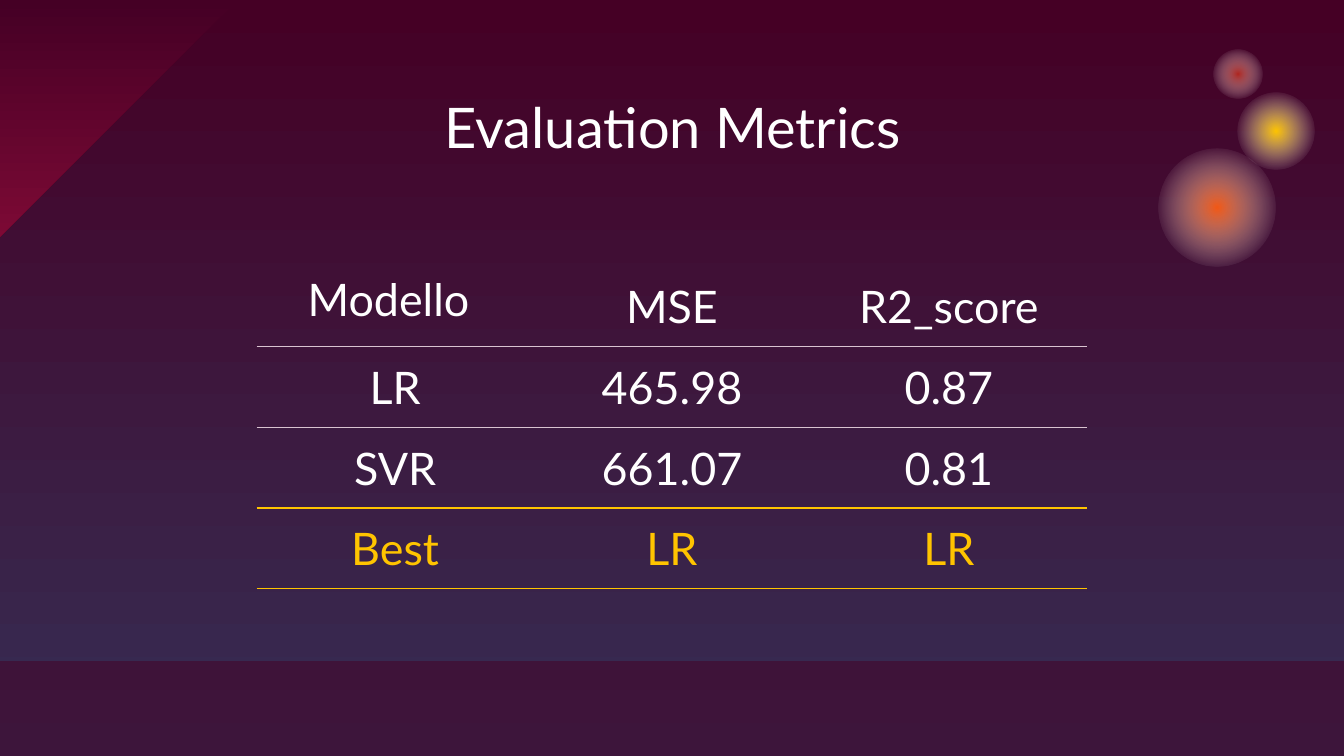
from typing import NamedTuple, Optional

from lxml import etree
from pptx import Presentation
from pptx import util as u
from pptx.dml.color import RGBColor
from pptx.enum import shapes, text
from pptx.oxml.ns import qn

COLORS = {
    "plum": "450025", "wine": "810A36", "red": "AF251F", "orange": "F25816",
    "indigo": "362D54", "yellow": "FFC400", "white": "FFFFFF", "rule": "D9C3D0",
}
FONT = "Lato"
WIDTH = 10
HEIGHT = WIDTH * 9 / 16  # widescreen


class Stop(NamedTuple):
    position: int
    color: str
    alpha: int = 100


class Glow(NamedTuple):
    left: float
    top: float
    size: float
    color: str


class Rule(NamedTuple):
    color: str
    weight: float


class Row(NamedTuple):
    cells: tuple[str, ...]
    color: str
    below: Rule


THIN = Rule("rule", 0.75)
ROWS = [
    Row(("Modello", "MSE", "R2_score"), "white", THIN),
    Row(("LR", "465.98", "0.87"), "white", THIN),
    Row(("SVR", "661.07", "0.81"), "white", Rule("yellow", 1.5)),
    Row(("Best", "LR", "LR"), "yellow", Rule("yellow", 0.75)),
]
GLOWS = [
    Glow(9.03, 0.37, 0.36, "red"),
    Glow(9.21, 0.69, 0.57, "yellow"),
    Glow(8.62, 1.11, 0.87, "orange"),
]


def add_color(parent, color: str, alpha: int = 100) -> None:
    clr = etree.SubElement(parent, qn("a:srgbClr"), val=COLORS[color])
    if alpha < 100:
        etree.SubElement(clr, qn("a:alpha"), val=str(alpha * 1000))


def set_gradient(fill, element, stops: list[Stop], radial: bool = False) -> None:
    fill.gradient()
    grad = next(element.iter(qn("a:gradFill")))
    for child in list(grad):
        grad.remove(child)
    stop_list = etree.SubElement(grad, qn("a:gsLst"))
    for stop in stops:
        gs = etree.SubElement(stop_list, qn("a:gs"), pos=str(stop.position * 1000))
        add_color(gs, stop.color, stop.alpha)
    if radial:
        path = etree.SubElement(grad, qn("a:path"), path="circle")
        etree.SubElement(path, qn("a:fillToRect"),
                         {side: "50000" for side in "ltrb"})
    else:
        etree.SubElement(grad, qn("a:lin"), ang="5400000", scaled="0")


def add_plain_shape(s, kind, left: float, top: float, width: float, height: float):
    sp = s.shapes.add_shape(kind, u.Inches(left), u.Inches(top),
                            u.Inches(width), u.Inches(height))
    sp.shadow.inherit = False
    sp.line.fill.background()
    return sp


def style_paragraph(p, size: int, color: str) -> None:
    p.alignment = text.PP_ALIGN.CENTER
    p.font.name, p.font.size = FONT, u.Pt(size)
    p.font.color.rgb = RGBColor.from_string(COLORS[color])


def set_insets(box, left: float, top: float, right: float, bottom: float) -> None:
    box.margin_left, box.margin_top = u.Inches(left), u.Inches(top)
    box.margin_right, box.margin_bottom = u.Inches(right), u.Inches(bottom)


def add_border(cell, side: str, rule: Optional[Rule]) -> None:
    tc_pr = cell._tc.get_or_add_tcPr()
    ln = etree.SubElement(tc_pr, qn(f"a:ln{side}"))
    if rule is None:
        etree.SubElement(ln, qn("a:noFill"))
    else:
        ln.set("w", str(u.Pt(rule.weight)))
        add_color(etree.SubElement(ln, qn("a:solidFill")), rule.color)


def add_backdrop(s) -> None:
    set_gradient(s.background.fill, s.element, [
        Stop(0, "plum"), Stop(34, "wine"), Stop(67, "red"), Stop(100, "orange")])

    # Panel with its top left corner cut off
    panel = add_plain_shape(s, shapes.MSO_SHAPE.SNIP_1_RECTANGLE, 0, 0, WIDTH, HEIGHT)
    panel.adjustments[0] = 0.315
    panel.element.spPr.find(qn("a:xfrm")).set("flipH", "1")
    set_gradient(panel.fill, panel.element, [Stop(0, "plum"), Stop(100, "indigo")])

    # Translucent footer band
    band = add_plain_shape(s, shapes.MSO_SHAPE.RECTANGLE, 0, 4.92, WIDTH, HEIGHT - 4.92)
    band.fill.solid()
    band.fill.fore_color.rgb = RGBColor.from_string(COLORS["plum"])
    clr = next(band.element.spPr.iter(qn("a:srgbClr")))
    etree.SubElement(clr, qn("a:alpha"), val="52000")


def add_title(s, wording: str) -> None:
    title = s.shapes.title
    s.shapes.element.append(title.element)  # in front of the backdrop
    title.left, title.top = u.Inches(0.79), u.Inches(0.59)
    title.width, title.height = u.Inches(8.43), u.Inches(0.52)
    tf = title.text_frame
    tf.text = wording
    tf.auto_size = text.MSO_AUTO_SIZE.NONE
    tf.vertical_anchor = text.MSO_ANCHOR.TOP
    set_insets(tf, 0.1, 0.1, 0.1, 0.1)
    style_paragraph(tf.paragraphs[0], 30, "white")


def add_glow(s, glow: Glow) -> None:
    sp = add_plain_shape(s, shapes.MSO_SHAPE.OVAL, glow.left, glow.top,
                         glow.size, glow.size)
    set_gradient(sp.fill, sp.element, [
        Stop(0, glow.color), Stop(75, "white", 0), Stop(100, "white", 0)], radial=True)


def add_metrics_table(s, rows: list[Row]) -> None:
    table = s.shapes.add_table(len(rows), len(rows[0].cells), u.Inches(1.91),
                               u.Inches(1.98), u.Inches(6.18), u.Inches(2.39)).table
    table.first_row = table.horz_banding = False
    above = None
    for r, row in enumerate(rows):
        for c, wording in enumerate(row.cells):
            cell = table.cell(r, c)
            cell.text = wording
            cell.vertical_anchor = text.MSO_ANCHOR.MIDDLE
            inset = 0 if r == c == 0 else 0.1
            set_insets(cell, inset, inset, 0.1, 0.1)
            style_paragraph(cell.text_frame.paragraphs[0], 24, row.color)
            for side, rule in zip("LRTB", (None, None, above, row.below)):
                add_border(cell, side, rule)
            cell.fill.background()
        above = row.below


def main() -> None:
    prs = Presentation()
    prs.slide_width, prs.slide_height = u.Inches(WIDTH), u.Inches(HEIGHT)
    s = prs.slides.add_slide(prs.slide_layouts[5])
    add_backdrop(s)
    add_title(s, "Evaluation Metrics")
    for glow in GLOWS:
        add_glow(s, glow)
    add_metrics_table(s, ROWS)
    prs.save("out.pptx")


if __name__ == "__main__":
    main()
